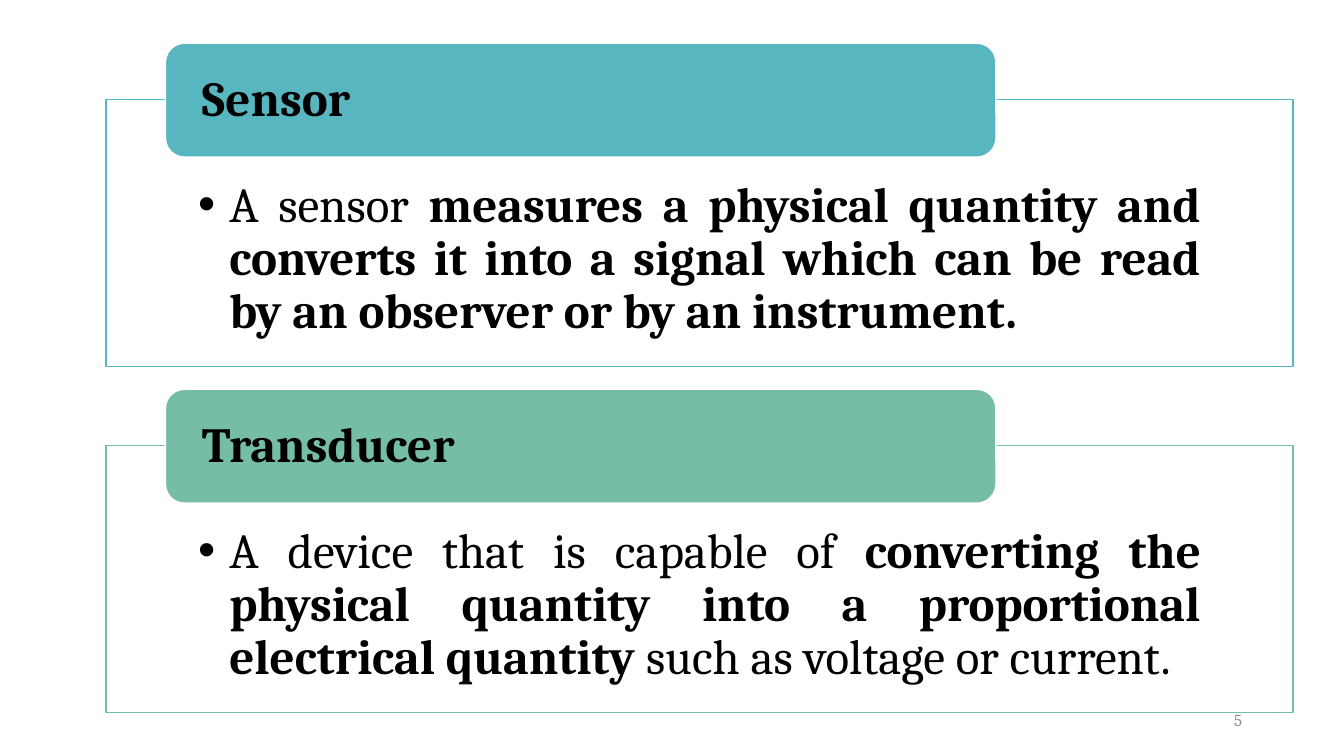
from dataclasses import dataclass

from lxml import etree
from pptx import Presentation
from pptx.dml.color import RGBColor
from pptx.enum.shapes import MSO_SHAPE
from pptx.enum.text import MSO_ANCHOR, MSO_AUTO_SIZE, PP_ALIGN
from pptx.oxml.ns import qn
from pptx.shapes.base import BaseShape
from pptx.slide import Slide
from pptx.text.text import TextFrame
from pptx.util import Cm, Pt

ROUNDED = MSO_SHAPE.ROUNDED_RECTANGLE
TOP, MIDDLE = MSO_ANCHOR.TOP, MSO_ANCHOR.MIDDLE
NO_AUTOFIT = MSO_AUTO_SIZE.NONE
JUSTIFY, RIGHT = PP_ALIGN.JUSTIFY, PP_ALIGN.RIGHT

COLOURS = {
    "teal": "58B6C0",
    "green": "75BDA7",
    "white": "FFFFFF",
    "black": "000000",
    "grey": "8C8C8C",
}
FONT = "Cambria"
COMPARISON_LAYOUT = 3 + 1
FIRST_FRAME_TOP, FRAME_STEP = 2.51, 8.72
HEADING_RISE = 1.42
HEADING_BOX = (4.17, 20.93, 2.87)
FRAME_BOX = (2.67, 29.92, 6.73)


@dataclass(frozen=True)
class Definition:
    """A term and its explanation as (text, bold) pieces."""

    term: str
    colour: str
    pieces: tuple[tuple[str, bool], ...]


DEFINITIONS = (
    Definition("Sensor", "teal", (
        ("A sensor ", False),
        ("measures a physical quantity and converts it into a signal "
         "which can be read by an observer or by an instrument.", True),
    )),
    Definition("Transducer", "green", (
        ("A device that is capable of ", False),
        ("converting the physical quantity into a proportional "
         "electrical quantity ", True),
        ("such as voltage or current.", False),
    )),
)


def rgb(name: str) -> RGBColor:
    """Return a named colour."""
    return RGBColor.from_string(COLOURS[name])


def paint(box: BaseShape, fill: str, line: str) -> None:
    """Give a box a solid fill and a thin outline."""
    box.fill.solid()
    box.fill.fore_color.rgb = rgb(fill)
    box.line.color.rgb = rgb(line)
    box.line.width = Pt(1)


def place(box: BaseShape, geometry: tuple[float, float, float], top: float) -> None:
    """Move a box to a left, width and height at the given top."""
    left, width, height = geometry
    box.left, box.top = Cm(left), Cm(top)
    box.width, box.height = Cm(width), Cm(height)


def set_frame(frame: TextFrame, anchor: MSO_ANCHOR, side: float,
              top: float, bottom: float) -> None:
    """Set wrapping, anchor and insets of a text frame."""
    frame.word_wrap = True
    frame.auto_size = NO_AUTOFIT
    frame.vertical_anchor = anchor
    frame.margin_left = frame.margin_right = Cm(side)
    frame.margin_top, frame.margin_bottom = Cm(top), Cm(bottom)


def format_paragraph(para, size: int, colour: str, align: PP_ALIGN) -> None:
    """Set the spacing, alignment and font of a paragraph."""
    para.alignment = align
    para.line_spacing = 0.9
    para.space_before = Pt(0)
    para.font.name = FONT
    para.font.size = Pt(size)
    para.font.color.rgb = rgb(colour)


def add_bullet(para) -> None:
    """Give a paragraph a hanging round bullet."""
    properties = para._p.get_or_add_pPr()
    properties.set("marL", str(Cm(0.79)))
    properties.set("indent", str(-Cm(0.79)))
    etree.SubElement(properties, qn("a:buChar")).set("char", "•")


def draw_explanation(body: BaseShape, definition: Definition, top: float) -> None:
    """Draw the outlined frame with its explanation."""
    place(body, FRAME_BOX, top)
    paint(body, "white", definition.colour)
    set_frame(body.text_frame, TOP, 2.32, 2.03, 0.69)
    para = body.text_frame.paragraphs[0]
    add_bullet(para)
    format_paragraph(para, 35, "black", JUSTIFY)
    for text, bold in definition.pieces:
        span = para.add_run()
        span.text = text
        span.font.bold = bold


def draw_heading(page: Slide, heading: BaseShape, definition: Definition,
                 top: float) -> None:
    """Draw the rounded plate with the term on it."""
    plate = page.shapes.add_shape(ROUNDED, 0, 0, 0, 0)
    plate.shadow.inherit = False
    paint(plate, definition.colour, "white")
    for box in (plate, heading):
        place(box, HEADING_BOX, top)
    plate._element.addnext(heading._element)
    set_frame(heading.text_frame, MIDDLE, 0.92, 0, 0)
    heading.text_frame.text = definition.term
    para = heading.text_frame.paragraphs[0]
    format_paragraph(para, 35, "black", JUSTIFY)
    para.font.bold = True


def draw_page_number(page: Slide, number: str) -> None:
    """Draw the page number at the lower right."""
    box = page.shapes.add_textbox(Cm(23.93), Cm(17.65), Cm(7.62), Cm(1.02))
    set_frame(box.text_frame, MIDDLE, 0.25, 0.13, 0.13)
    box.text_frame.text = number
    format_paragraph(box.text_frame.paragraphs[0], 12, "grey", RIGHT)


def main() -> None:
    """Build and save the deck."""
    deck = Presentation()
    deck.slide_width, deck.slide_height = Cm(33.87), Cm(19.05)
    page = deck.slides.add_slide(deck.slide_layouts[COMPARISON_LAYOUT])
    title, *boxes = page.placeholders
    title._element.getparent().remove(title._element)
    draw_page_number(page, "5")
    pairs = zip(boxes[::2], boxes[1::2])
    for index, (definition, (heading, body)) in enumerate(zip(DEFINITIONS, pairs)):
        top = FIRST_FRAME_TOP + index * FRAME_STEP
        draw_explanation(body, definition, top)
        draw_heading(page, heading, definition, top - HEADING_RISE)
    deck.save("out.pptx")


if __name__ == "__main__":
    main()
